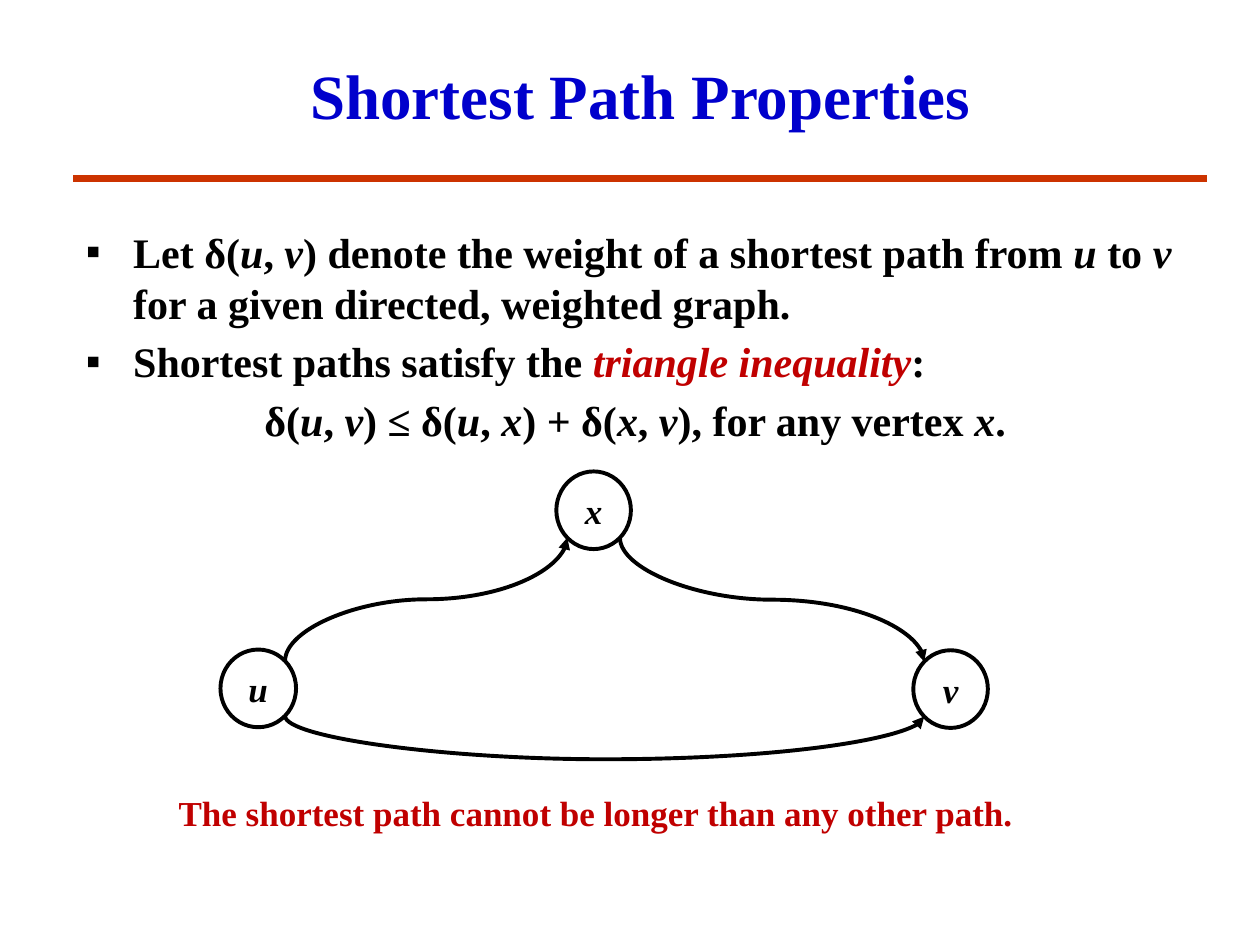
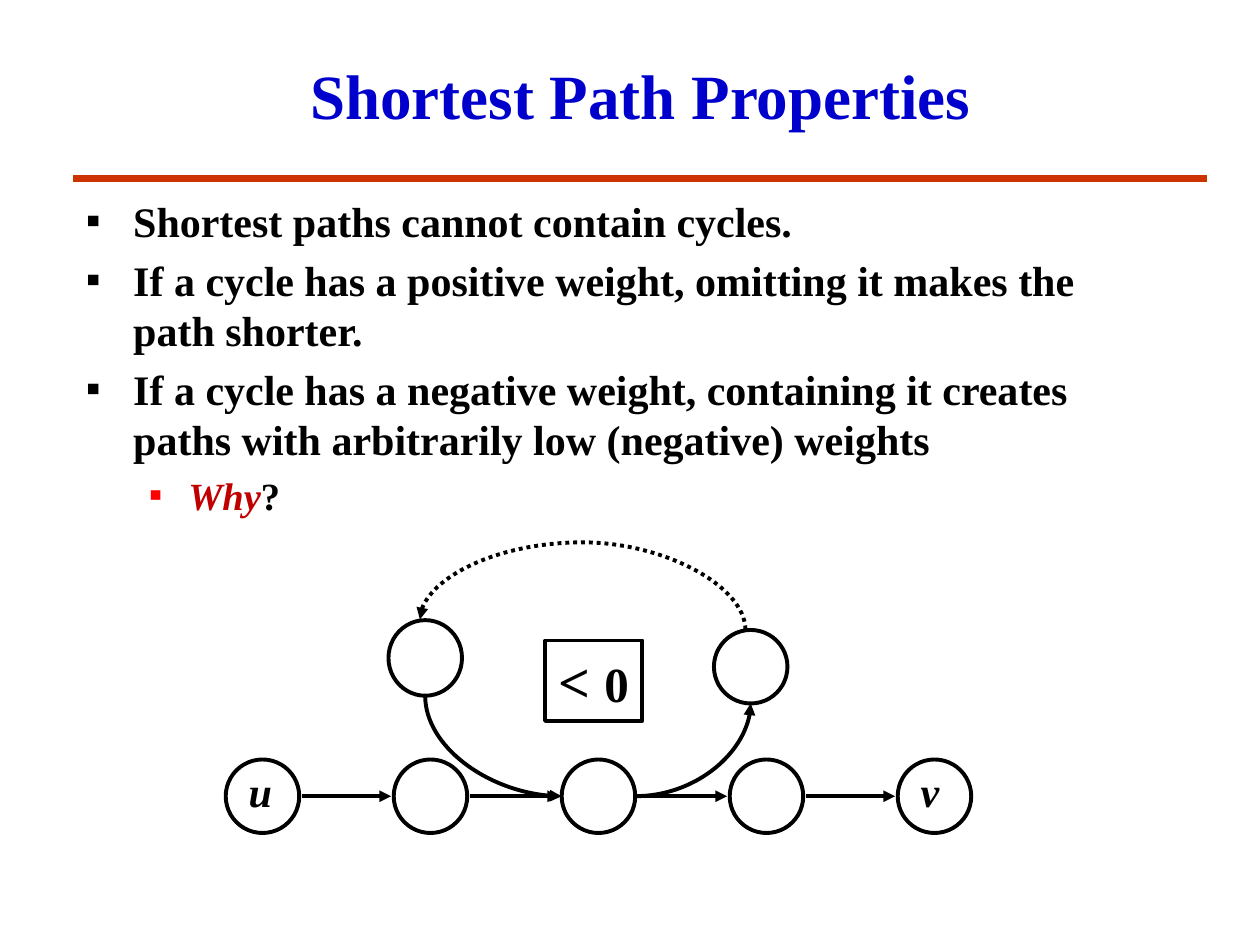
import math
from dataclasses import dataclass
from typing import NamedTuple, Optional

from lxml import etree
from pptx import Presentation
from pptx import util as u
from pptx.dml.color import RGBColor
from pptx.enum import dml, shapes, text
from pptx.oxml.ns import qn

FONT = "Times New Roman"
BLACK = RGBColor(0x00, 0x00, 0x00)
WHITE = RGBColor(0xFF, 0xFF, 0xFF)
TITLE_BLUE = RGBColor(0x00, 0x00, 0xCC)
RULE_ORANGE = RGBColor(0xCC, 0x33, 0x00)
ACCENT_RED = RGBColor(0xC0, 0x00, 0x00)
BULLET_RED = RGBColor(0xFF, 0x00, 0x00)
LINE_WIDTH = 2.25
CENTER = text.PP_ALIGN.CENTER
# Connection sites of an ellipse, counterclockwise from the top
TOP, TOP_LEFT, LEFT, BOTTOM_LEFT, BOTTOM, BOTTOM_RIGHT, RIGHT, TOP_RIGHT = range(8)


class Point(NamedTuple):
    x: float
    y: float


class Run(NamedTuple):
    text: str
    size: float = 24
    color: RGBColor = BLACK
    italic: bool = False


@dataclass
class Line:
    """One body paragraph; *stars* mark italics, and accent is the italic phrase in red."""
    text: str
    accent: str = ""
    size: float = 24
    left: float = 27
    hanging: float = 27
    bullet_color: Optional[RGBColor] = BLACK

    def runs(self) -> list[Run]:
        return [Run(part, self.size, ACCENT_RED if part == self.accent else BLACK, index % 2 == 1)
                for index, part in enumerate(self.text.split("*")) if part]


@dataclass
class Node:
    x: float
    y: float
    width: float = 42
    height: float = 42
    label: str = ""
    shape_id: int = 0

    def site(self, index: int) -> Point:
        angle = math.radians(90 + 45 * index)
        return Point(self.x + self.width / 2 * math.cos(angle),
                     self.y - self.height / 2 * math.sin(angle))


class End(NamedTuple):
    node: Node
    site: int


def write_runs(paragraph, runs: list[Run]) -> None:
    for item in runs:
        run = paragraph.add_run()
        run.text = item.text
        font = run.font
        font.name, font.size, font.bold = FONT, u.Pt(item.size), True
        font.italic = item.italic
        font.color.rgb = item.color


def add_text(slide, runs: list[Run], left: float, top: float, width: float, height: float, *,
             align=text.PP_ALIGN.LEFT, anchor=text.MSO_ANCHOR.TOP, wrap: bool = False) -> None:
    box = slide.shapes.add_textbox(u.Pt(left), u.Pt(top), u.Pt(width), u.Pt(height))
    frame = box.text_frame
    frame.word_wrap, frame.vertical_anchor = wrap, anchor
    frame.paragraphs[0].alignment = align
    write_runs(frame.paragraphs[0], runs)


def add_body(slide, lines: list[Line], top: float, width: float, height: float) -> None:
    box = slide.shapes.add_textbox(u.Pt(42), u.Pt(top), u.Pt(width), u.Pt(height))
    frame = box.text_frame
    frame.word_wrap = True
    for index, line in enumerate(lines):
        paragraph = frame.add_paragraph() if index else frame.paragraphs[0]
        paragraph.space_before = u.Pt(line.size * 0.2)
        set_bullet(paragraph, line)
        write_runs(paragraph, line.runs())


def set_bullet(paragraph, line: Line) -> None:
    properties = paragraph._p.get_or_add_pPr()
    properties.set("marL", str(u.Pt(line.left)))
    properties.set("indent", str(-u.Pt(line.hanging)))
    if line.bullet_color is None:
        return
    color = etree.SubElement(properties, qn("a:buClr"))
    etree.SubElement(color, qn("a:srgbClr"), val=str(line.bullet_color))
    etree.SubElement(properties, qn("a:buFont"), typeface=FONT)
    etree.SubElement(properties, qn("a:buChar"), char="▪")


def add_outlined(slide, preset, left: float, top: float, width: float, height: float):
    shape = slide.shapes.add_shape(preset, u.Pt(left), u.Pt(top), u.Pt(width), u.Pt(height))
    shape.shadow.inherit = False
    shape.line.color.rgb = BLACK
    shape.line.width = u.Pt(LINE_WIDTH)
    shape.text_frame.word_wrap = False
    shape.text_frame.paragraphs[0].alignment = CENTER
    return shape


def add_node(slide, node: Node) -> None:
    shape = add_outlined(slide, shapes.MSO_SHAPE.OVAL, node.x - node.width / 2,
                         node.y - node.height / 2, node.width, node.height)
    shape.fill.solid()
    shape.fill.fore_color.rgb = WHITE
    shape.text_frame.vertical_anchor = text.MSO_ANCHOR.MIDDLE
    if node.label:
        write_runs(shape.text_frame.paragraphs[0], [Run(node.label, 20, italic=True)])
    node.shape_id = shape.shape_id


def add_line(slide, start: Point, end: Point, *, kind=shapes.MSO_CONNECTOR.STRAIGHT,
             color: RGBColor = BLACK, width: float = LINE_WIDTH, dash=None,
             arrow: str = "a:tailEnd"):
    connector = slide.shapes.add_connector(
        kind, u.Pt(start.x), u.Pt(start.y), u.Pt(end.x), u.Pt(end.y))
    connector.line.color.rgb = color
    connector.line.width = u.Pt(width)
    if dash:
        connector.line.dash_style = dash
    properties = connector.element.spPr
    if arrow:
        etree.SubElement(properties.find(qn("a:ln")), qn(arrow), type="triangle")
    etree.SubElement(properties, qn("a:effectLst"))
    return connector


def set_curve(connector, preset: str, adjustment: Optional[float] = None) -> None:
    geometry = connector.element.spPr.find(qn("a:prstGeom"))
    geometry.set("prst", preset)
    if adjustment is not None:
        guides = geometry.find(qn("a:avLst"))
        if guides is None:
            guides = etree.SubElement(geometry, qn("a:avLst"))
        etree.SubElement(guides, qn("a:gd"), name="adj1", fmla=f"val {round(adjustment * 100000)}")


def stand_upright(connector, start: Point, end: Point) -> None:
    """Turn a curve that runs to the right so that it leaves its start vertically."""
    across, rise = end.x - start.x, abs(end.y - start.y)
    connector.left = u.Pt((start.x + end.x - rise) / 2)
    connector.top = u.Pt((start.y + end.y - across) / 2)
    connector.width, connector.height = u.Pt(rise), u.Pt(across)
    transform = connector.element.spPr.find(qn("a:xfrm"))
    transform.set("rot", str((270 if end.y > start.y else 90) * 60000))
    transform.set("flipH", "1")


def glue(connector, start: End, end: End) -> None:
    links = connector.element.find(".//" + qn("p:cNvCxnSpPr"))
    for tag, tip in (("a:stCxn", start), ("a:endCxn", end)):
        etree.SubElement(links, qn(tag), id=str(tip.node.shape_id), idx=str(tip.site))


def add_curve(slide, start: Point, end: Point, *, preset: str = "curvedConnector3",
              bend: Optional[float] = None, upright: bool = True, **style):
    """Draw a curve; bend is the height of its middle below its start."""
    connector = add_line(slide, start, end, kind=shapes.MSO_CONNECTOR.CURVE, **style)
    set_curve(connector, preset, None if bend is None else bend / abs(end.y - start.y))
    if upright:
        stand_upright(connector, start, end)
    return connector


def join_nodes(slide, start: End, end: End, **options) -> None:
    connector = add_curve(slide, start.node.site(start.site), end.node.site(end.site), **options)
    glue(connector, start, end)


def add_slide(presentation):
    slide = presentation.slides.add_slide(presentation.slide_layouts[6])
    add_line(slide, Point(42, 102), Point(690, 102), color=RULE_ORANGE, width=4.5, arrow="")
    add_text(slide, [Run("Shortest Path Properties", 36, TITLE_BLUE)], 60, 18, 612, 72,
             align=CENTER, anchor=text.MSO_ANCHOR.MIDDLE, wrap=True)
    return slide


def build_triangle_slide(presentation) -> None:
    slide = add_slide(presentation)
    add_body(slide, [
        Line("Let δ(*u*, *v*) denote the weight of a shortest path from *u* to *v*"
             " for a given directed, weighted graph."),
        Line("Shortest paths satisfy the *triangle inequality*:", accent="triangle inequality"),
        Line("δ(*u*, *v*) ≤ δ(*u*, *x*) + δ(*x*, *v*), for any vertex *x*.",
             left=102, hanging=0, bullet_color=None),
    ], 126, 636, 378)

    middle = Node(339.2, 291.6, 42.6, 44.4, "x")
    source = Node(147.6, 393.4, 43.2, 44.4, "u")
    target = Node(543.2, 393.8, 42.6, 44.4, "v")
    for node in (middle, source, target):
        add_node(slide, node)
    join_nodes(slide, End(source, TOP_RIGHT), End(middle, BOTTOM_LEFT))
    join_nodes(slide, End(middle, BOTTOM_RIGHT), End(target, TOP_LEFT))
    join_nodes(slide, End(source, BOTTOM_RIGHT), End(target, BOTTOM_LEFT), bend=25)
    add_text(slide, [Run("The shortest path cannot be longer than any other path.", 20, ACCENT_RED)],
             85.5, 448.5, 510, 31.5, align=CENTER)


def build_cycle_slide(presentation) -> None:
    slide = add_slide(presentation)
    add_body(slide, [
        Line("Shortest paths cannot contain cycles."),
        Line("If a cycle has a positive weight, omitting it makes the path shorter."),
        Line("If a cycle has a negative weight, containing it creates paths with"
             " arbitrarily low (negative) weights"),
        Line("*Why*?", accent="Why", size=22, left=58.5, hanging=22.5, bullet_color=BULLET_RED),
    ], 108, 630, 372)

    path_nodes = [Node(150 + 96 * index, 455) for index in range(5)]
    cycle_left, cycle_right = Node(243, 376, height=43.2), Node(429, 381)
    for node in (*path_nodes, cycle_left, cycle_right):
        add_node(slide, node)

    gap = 1.5
    for first, second in zip(path_nodes, path_nodes[1:]):
        start, end = first.site(RIGHT), second.site(LEFT)
        add_line(slide, Point(start.x + gap, start.y), Point(end.x - gap, end.y))

    hub = path_nodes[2]
    join_nodes(slide, End(hub, RIGHT), End(cycle_right, BOTTOM),
               preset="curvedConnector2", upright=False)
    join_nodes(slide, End(cycle_left, BOTTOM), End(hub, LEFT), preset="curvedConnector2")
    add_curve(slide, Point(240, 354), Point(426, 360), bend=-44,
              dash=dml.MSO_LINE.ROUND_DOT, arrow="a:headEnd")

    weight = add_outlined(slide, shapes.MSO_SHAPE.RECTANGLE, 311.5, 366, 55.5, 46)
    weight.fill.background()
    weight.text_frame.vertical_anchor = text.MSO_ANCHOR.TOP
    write_runs(weight.text_frame.paragraphs[0], [Run("< ", 32), Run("0", 28)])
    for label, left, width in (("u", 135, 28), ("v", 519, 25)):
        add_text(slide, [Run(label, italic=True)], left, 434, width, 36)


def main() -> None:
    presentation = Presentation()
    presentation.slide_width, presentation.slide_height = u.Pt(720), u.Pt(540)
    build_triangle_slide(presentation)
    build_cycle_slide(presentation)
    presentation.save("out.pptx")


if __name__ == "__main__":
    main()
